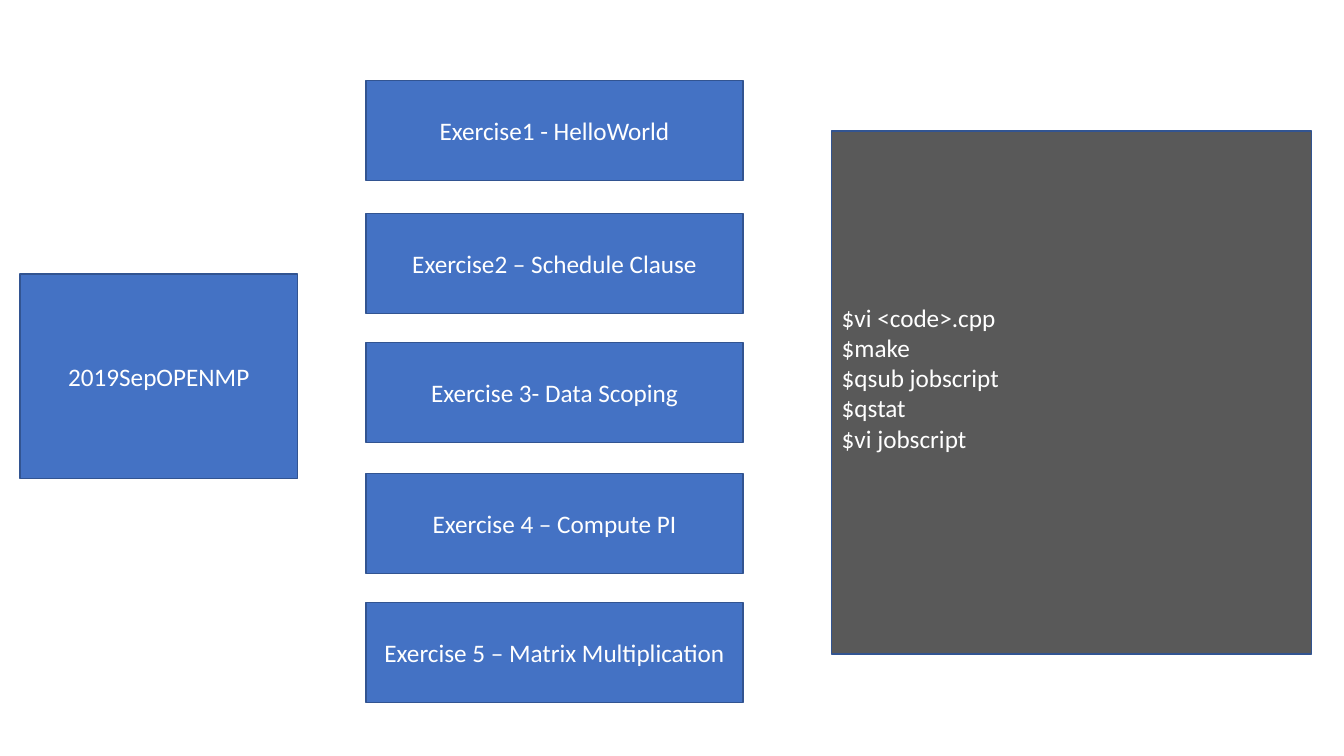
import pptx
import pptx.dml.color
import pptx.enum.shapes
import pptx.enum.text
import pptx.util
from pptx.util import Inches

THEME = {
    "blue": pptx.dml.color.RGBColor.from_string("4472C4"),
    "gray": pptx.dml.color.RGBColor.from_string("595959"),
    "outline": pptx.dml.color.RGBColor.from_string("325491"),
    "text": pptx.dml.color.RGBColor.from_string("FFFFFF"),
    "font": "Calibri",
    "size": pptx.util.Pt(18),
    "line": pptx.util.Pt(1),
}
CENTER = pptx.enum.text.PP_ALIGN.CENTER
LEFT = pptx.enum.text.PP_ALIGN.LEFT


def add_box(slide, bounds, lines, fill, align):
    box = slide.shapes.add_shape(
        pptx.enum.shapes.MSO_SHAPE.RECTANGLE, *[Inches(value) for value in bounds]
    )
    box.shadow.inherit = False
    box.fill.solid()
    box.fill.fore_color.rgb = THEME[fill]
    box.line.color.rgb = THEME["outline"]
    box.line.width = THEME["line"]
    frame = box.text_frame
    frame.word_wrap = True
    frame.vertical_anchor = pptx.enum.text.MSO_ANCHOR.MIDDLE
    for index, line in enumerate(lines):
        para = frame.add_paragraph() if index else frame.paragraphs[0]
        para.alignment = align
        span = para.add_run()
        span.text = line
        for name, value in {"name": THEME["font"], "size": THEME["size"]}.items():
            setattr(span.font, name, value)
        span.font.color.rgb = THEME["text"]
    return box


deck = pptx.Presentation()
deck.slide_width = Inches(13.33)
deck.slide_height = Inches(7.5)
page = deck.slides.add_slide(deck.slide_layouts[6])

exercises = [
    (0.8, "Exercise1 - HelloWorld"),
    (2.12, "Exercise2 – Schedule Clause"),
    (3.4, "Exercise 3- Data Scoping"),
    (4.7, "Exercise 4 – Compute PI"),
    (5.98, "Exercise 5 – Matrix Multiplication"),
]
for top, title in exercises:
    add_box(page, (3.63, top, 3.74, 0.99), [title], "blue", CENTER)

add_box(page, (0.2, 2.72, 2.75, 2.03), ["2019SepOPENMP"], "blue", CENTER)

commands = ["$vi <code>.cpp", "$make", "$qsub jobscript", "$qstat", "$vi jobscript"]
terminal = add_box(page, (8.25, 1.3, 4.76, 5.19), commands, "gray", LEFT)
terminal.text_frame.margin_bottom = Inches(0.35)

deck.save("out.pptx")
